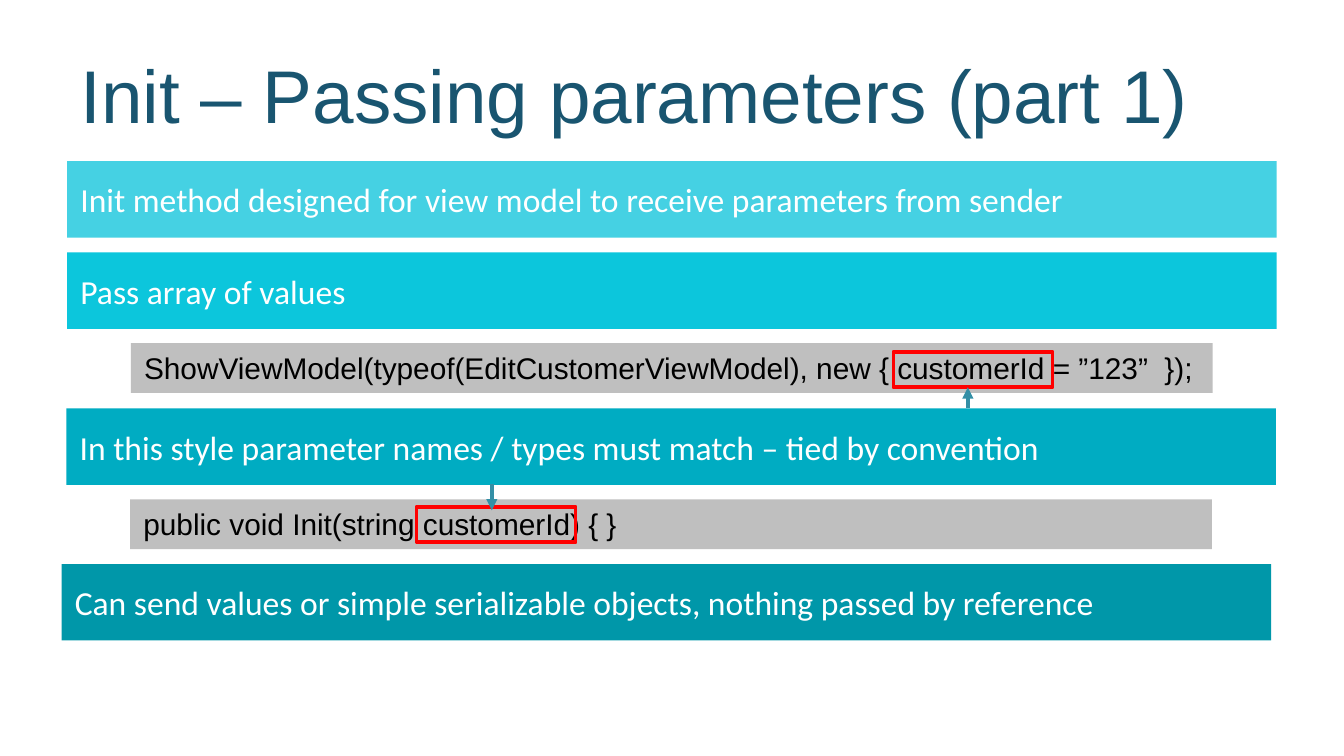
"""Build the slide on passing parameters to an Init method."""
from typing import NamedTuple

from lxml.etree import SubElement
from pptx import Presentation
from pptx.dml.color import RGBColor
from pptx.enum.shapes import MSO_CONNECTOR as Connector, MSO_SHAPE as Shape
from pptx.enum.text import MSO_ANCHOR as Anchor, PP_ALIGN as Align
from pptx.oxml.ns import qn
from pptx.slide import Slide
from pptx.text.text import TextFrame
from pptx.util import Pt

WHITE = RGBColor(0xFF, 0xFF, 0xFF)
BLACK = RGBColor(0x00, 0x00, 0x00)
GREY = RGBColor(0xBF, 0xBF, 0xBF)
RED = RGBColor(0xFF, 0x00, 0x00)
TITLE_BLUE = RGBColor(0x19, 0x55, 0x70)
ARROW_BLUE = RGBColor(0x34, 0x8F, 0xA6)
AQUA = RGBColor(0x45, 0xD1, 0xE3)
CYAN = RGBColor(0x0C, 0xC6, 0xDC)
TEAL = RGBColor(0x00, 0xAC, 0xC2)
DEEP_TEAL = RGBColor(0x00, 0x97, 0xA9)


class TextStyle(NamedTuple):
    font: str
    size: float
    color: RGBColor
    anchor: Anchor


class BandStyle(NamedTuple):
    width: float
    height: float
    text: TextStyle


class Band(NamedTuple):
    left: float
    top: float
    fill: RGBColor
    text: str


class Spot(NamedTuple):
    left: float
    top: float


class Arrow(NamedTuple):
    x: float
    start: float
    end: float


TITLE = TextStyle("Arial", 40, TITLE_BLUE, Anchor.MIDDLE)
POINT = BandStyle(648, 41, TextStyle("Calibri", 18, WHITE, Anchor.MIDDLE))
CODE = BandStyle(579.6, 26.66, TextStyle("Arial", 16, BLACK, Anchor.TOP))

OPENING_POINTS = [
    Band(36, 86.4, AQUA, "Init method designed for view model to receive parameters from sender"),
    Band(36, 135.2, CYAN, "Pass array of values"),
]
CODE_LINES = [
    Band(70.1, 183.8, GREY,
         "ShowViewModel(typeof(EditCustomerViewModel), new { customerId = ”123”  });"),
    Band(69.7, 267.6, GREY, "public void Init(string customerId) { }"),
]
PARAMETER_NAMES = [Spot(478.7, 188.5), Spot(223.2, 271.5)]
CONVENTION = Band(
    35.6, 218.8, TEAL,
    "In this style parameter names / types must match – tied by convention")
MATCHES = [Arrow(518.5, 218.8, 207.5), Arrow(263.5, 259.5, 273.4)]
LIMITS = Band(
    33, 302.2, DEEP_TEAL,
    "Can send values or simple serializable objects, nothing passed by reference")


def write(frame: TextFrame, text: str, style: TextStyle) -> None:
    frame.text = text
    frame.word_wrap = True
    frame.vertical_anchor = style.anchor
    line = frame.paragraphs[0]
    line.alignment = Align.LEFT
    font = line.runs[0].font
    font.name, font.size = style.font, Pt(style.size)
    font.color.rgb = style.color


def add_band(slide: Slide, band: Band, style: BandStyle) -> None:
    bar = slide.shapes.add_shape(
        Shape.RECTANGLE, Pt(band.left), Pt(band.top), Pt(style.width), Pt(style.height))
    bar.shadow.inherit = False
    bar.fill.solid()
    bar.fill.fore_color.rgb = band.fill
    bar.line.fill.background()
    write(bar.text_frame, band.text, style.text)


def add_highlight(slide: Slide, spot: Spot) -> None:
    outline = slide.shapes.add_shape(
        Shape.RECTANGLE, Pt(spot.left), Pt(spot.top), Pt(85.2), Pt(19))
    outline.shadow.inherit = False
    outline.fill.background()
    outline.line.color.rgb = RED
    outline.line.width = Pt(2)


def add_arrow(slide: Slide, arrow: Arrow) -> None:
    link = slide.shapes.add_connector(
        Connector.STRAIGHT, Pt(arrow.x), Pt(arrow.start), Pt(arrow.x), Pt(arrow.end))
    link.line.color.rgb = ARROW_BLUE
    link.line.width = Pt(2)
    SubElement(link.line._get_or_add_ln(), qn("a:tailEnd"), type="triangle")
    SubElement(link._element.spPr, qn("a:effectLst"))


def main() -> None:
    deck = Presentation()
    deck.slide_width, deck.slide_height = Pt(720), Pt(405)
    slide = deck.slides.add_slide(deck.slide_layouts[5])

    title = slide.shapes.title
    title.left, title.top, title.width, title.height = Pt(36), Pt(16.6), Pt(648), Pt(67.5)
    write(title.text_frame, "Init – Passing parameters (part 1)", TITLE)

    for point in OPENING_POINTS:
        add_band(slide, point, POINT)
    for code_line in CODE_LINES:
        add_band(slide, code_line, CODE)
    for name in PARAMETER_NAMES:
        add_highlight(slide, name)
    add_band(slide, CONVENTION, POINT)
    for match in MATCHES:
        add_arrow(slide, match)
    add_band(slide, LIMITS, POINT)

    deck.save("out.pptx")


if __name__ == "__main__":
    main()
